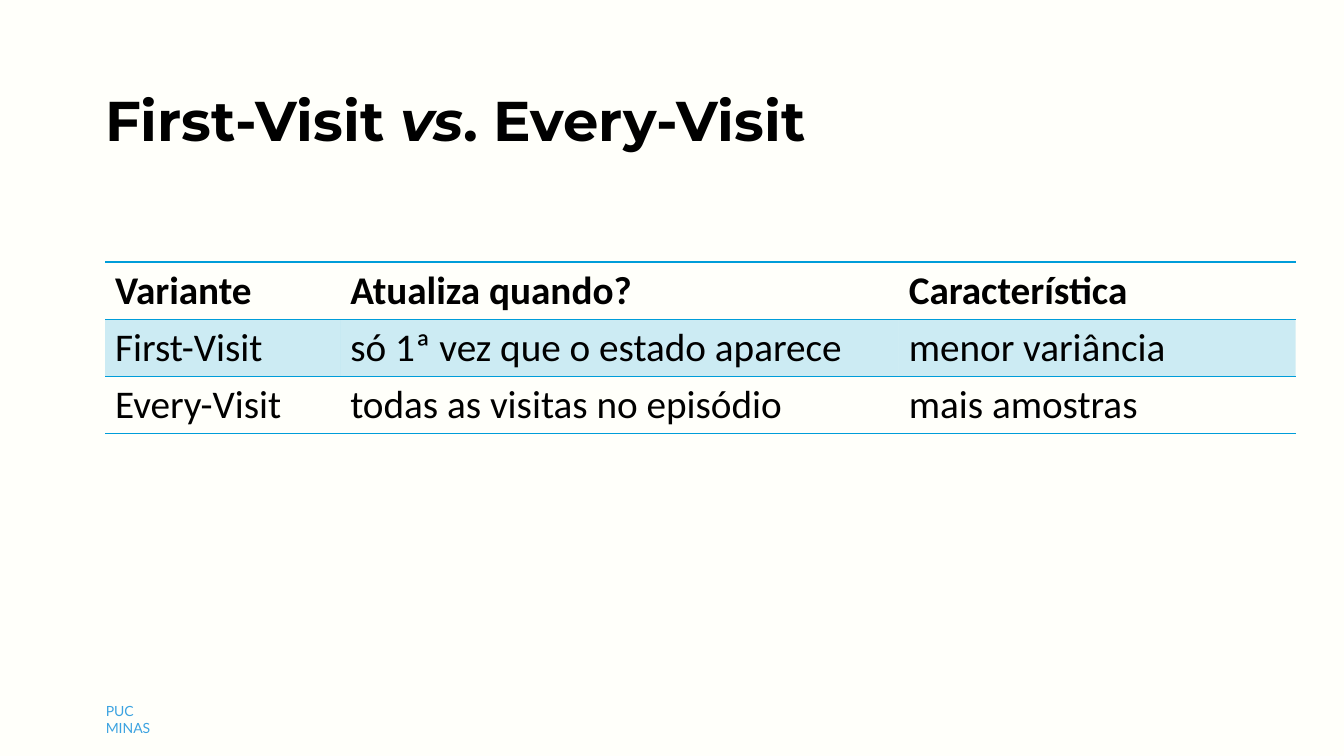
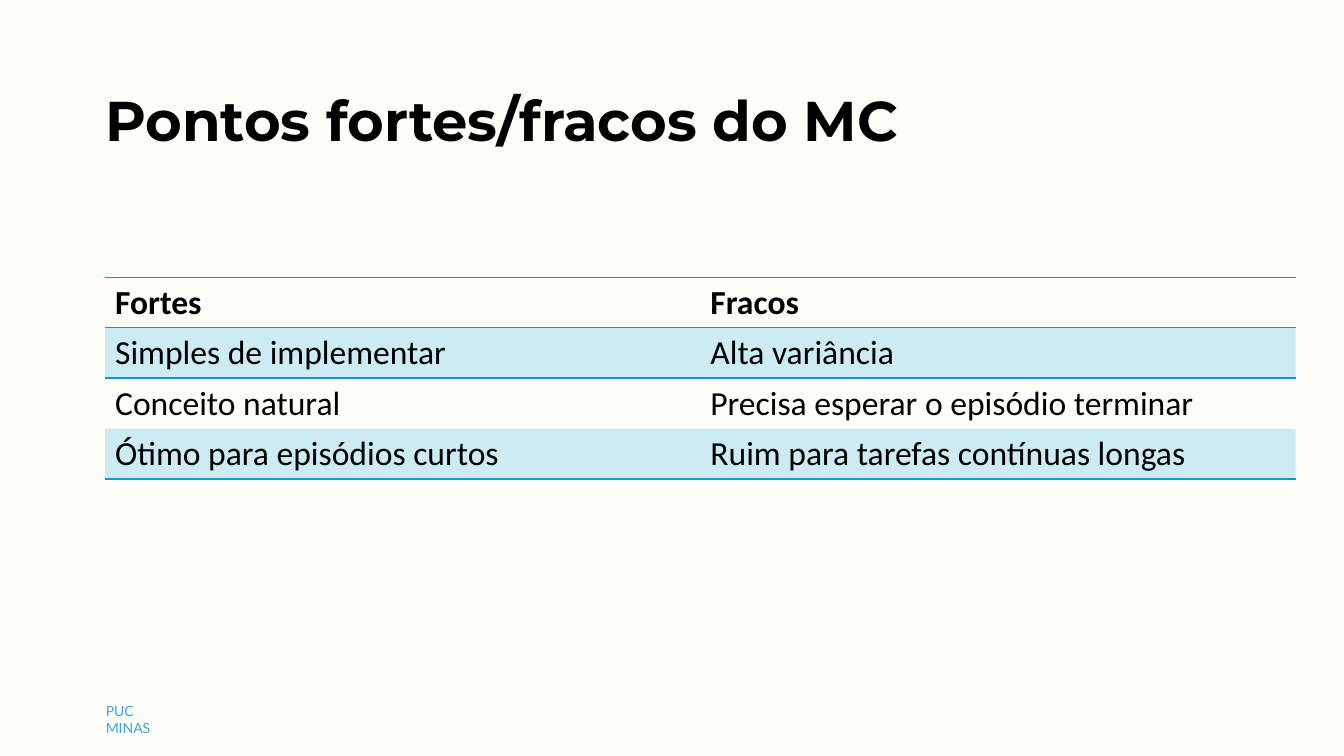
from lxml import etree
from pptx import Presentation
from pptx.dml.color import RGBColor
from pptx.enum.text import MSO_ANCHOR as Anchor
from pptx.oxml import parse_xml
from pptx.oxml.ns import nsdecls, qn
from pptx.util import Pt

BACKGROUND = "FFFFFA"
INK = "000000"
ACCENT = "009DD9"
FOOTER = "3CA3E1"
PLAIN_STYLE = "{2D5ABB26-0587-4C30-8999-92F81FD0307C}"
LEFT = 75


def color(hex_code):
    return RGBColor.from_string(hex_code)


def write(frame, text, font="Calibri", size=28, ink=INK, bold=False):
    frame.word_wrap = True
    for index, part in enumerate(text.split("*")):
        run = frame.paragraphs[0].add_run()
        run.text = part
        run.font.name = font
        run.font.size = Pt(size)
        run.font.color.rgb = color(ink)
        run.font.bold = bold
        run.font.italic = index % 2 == 1


pages = [
    {
        "title": "First-Visit *vs*. Every-Visit",
        "top": 187.2,
        "widths": [168, 399, 283.5],
        "row_height": 40.8,
        "size": 28,
        "anchor": Anchor.MIDDLE,
        "rows": [
            ["Variante", "Atualiza quando?", "Característica"],
            ["First-Visit", "só 1ª vez que o estado aparece", "menor variância"],
            ["Every-Visit", "todas as visitas no episódio", "mais amostras"],
        ],
    },
    {
        "title": "Pontos fortes/fracos do MC",
        "top": 198,
        "widths": [425.25, 425.25],
        "row_height": 36,
        "size": 24,
        "anchor": Anchor.TOP,
        "rows": [
            ["Fortes", "Fracos"],
            ["Simples de implementar", "Alta variância"],
            ["Conceito natural", "Precisa esperar o episódio terminar"],
            ["Ótimo para episódios curtos", "Ruim para tarefas contínuas longas"],
        ],
    },
]

prs = Presentation()
prs.slide_width = Pt(960)
prs.slide_height = Pt(540)
backdrop = prs.slide_master.background.fill
backdrop.solid()
backdrop.fore_color.rgb = color(BACKGROUND)

for page in pages:
    slide = prs.slides.add_slide(prs.slide_layouts[6])

    footer = slide.shapes.add_textbox(Pt(75.6), Pt(502), Pt(47.5), Pt(24)).text_frame
    footer.margin_left = footer.margin_right = 0
    footer.margin_top = footer.margin_bottom = 0
    write(footer, "PUC MINAS", font="Lato", size=10, ink=FOOTER)

    title = slide.shapes.add_textbox(Pt(68), Pt(57.6), Pt(836), Pt(55.7)).text_frame
    write(title, page["title"], font="Montserrat", size=40, bold=True)

    rows, widths = page["rows"], page["widths"]
    table = slide.shapes.add_table(
        len(rows), len(widths), Pt(LEFT), Pt(page["top"]),
        Pt(sum(widths)), Pt(page["row_height"] * len(rows)),
    ).table
    table._tbl.tblPr.find(qn("a:tableStyleId")).text = PLAIN_STYLE
    for column, width in zip(table.columns, widths):
        column.width = Pt(width)

    for r, row in enumerate(rows):
        table.rows[r].height = Pt(page["row_height"])
        ruled = {0: ["lnT", "lnB"], 1: ["lnT"], len(rows) - 1: ["lnB"]}.get(r, [])
        for c, entry in enumerate(row):
            cell = table.cell(r, c)
            cell.vertical_anchor = page["anchor"]
            write(cell.text_frame, entry, size=page["size"], bold=r == 0)
            for edge in ruled:
                cell._tc.get_or_add_tcPr().append(parse_xml(
                    f'<a:{edge} {nsdecls("a")} w="12700"><a:solidFill>'
                    f'<a:srgbClr val="{ACCENT}"/></a:solidFill></a:{edge}>'
                ))
            if r % 2 == 0:
                cell.fill.background()
                continue
            cell.fill.solid()
            cell.fill.fore_color.rgb = color(ACCENT)
            tint = cell._tc.tcPr.find(qn("a:solidFill")).find(qn("a:srgbClr"))
            etree.SubElement(tint, qn("a:alpha")).set("val", "20000")

prs.save("out.pptx")
